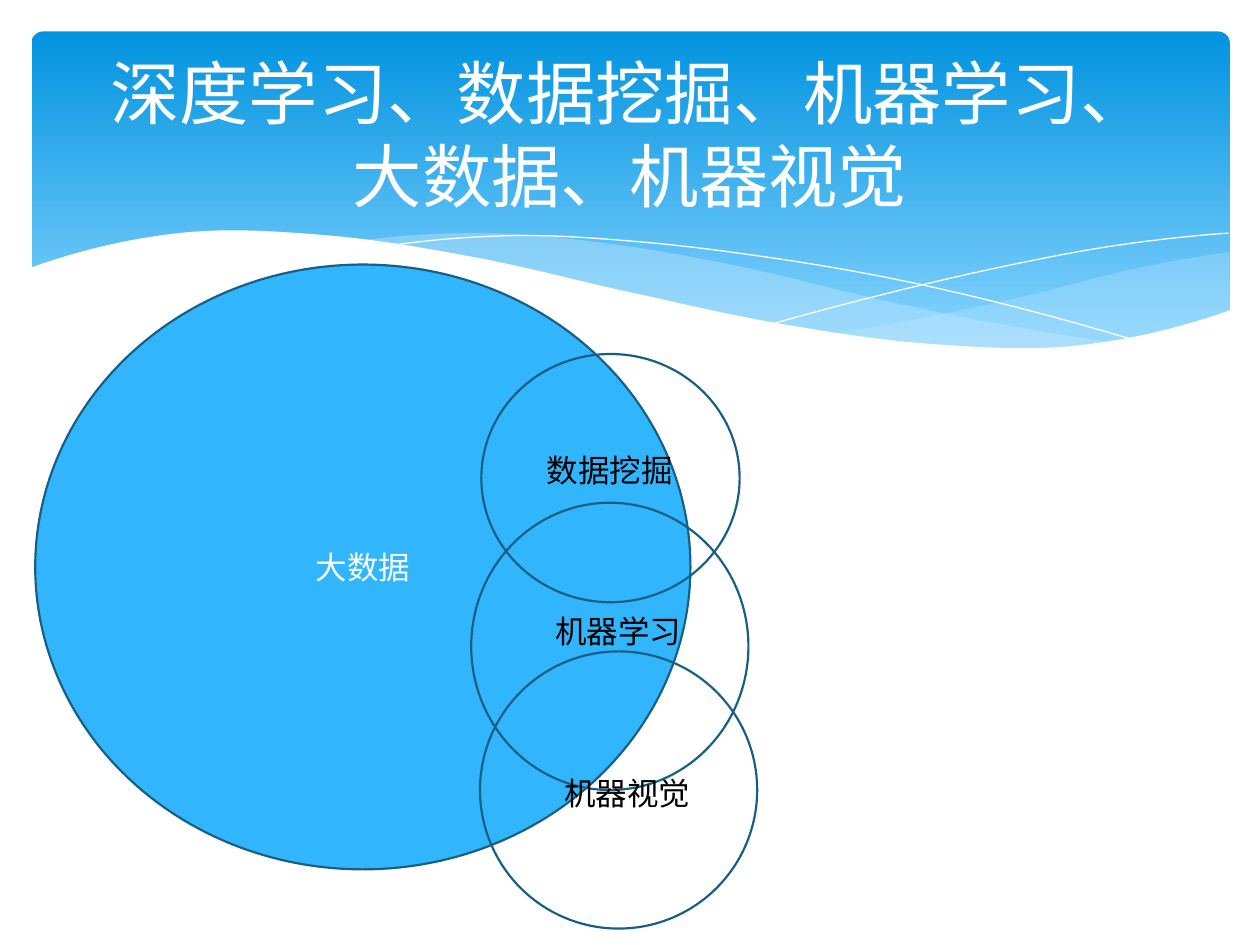
from lxml.etree import SubElement
from pptx import Presentation
from pptx.dml.color import RGBColor
from pptx.enum.shapes import MSO_SHAPE
from pptx.enum.text import MSO_ANCHOR, PP_ALIGN
from pptx.oxml.ns import qn
from pptx.util import Cm, Pt

FONT = "Calibri"
OUTLINE = "195F84"
WHITE = "FFFFFF"
BLACK = "000000"
PALE_BLUE = "C6E7FC"
CIRCLE_BLUE = "31B6FD"
HEADER_STOPS = [(0, "0293E0"), (0.9, "83D3FE")]
STEPS_PER_SPAN = 12

TITLE = "深度学习、数据挖掘、机器学习、大数据、机器视觉"
TITLE_BOX = (0.5, 0.37, 9, 1.37)
HEADER_BOX = (0.25, 0.25, 9.51, 2.7)

BANDS = [
    {
        "range": (6.61, 9.76),
        "upper": [2.65, 2.51, 2.34, 2.14, 2],
        "lower": [2.65, 2.74, 2.78, 2.7, 2.47],
        "fill": PALE_BLUE,
        "opacity": 29,
    },
    {
        "range": (2.86, 8.93),
        "upper": [1.91, 1.85, 1.94, 2.12, 2.36, 2.57, 2.73],
        "lower": [1.91, 2.07, 2.31, 2.53, 2.69, 2.78, 2.73],
        "fill": PALE_BLUE,
        "opacity": 40,
    },
]
LINES = [
    {"range": (3.09, 9.07), "heights": [1.95, 1.87, 1.92, 2.04, 2.21, 2.44, 2.72]},
    {"range": (6.13, 9.75), "heights": [2.57, 2.33, 2.12, 1.95, 1.85]},
]
WHITE_WAVE = {
    "range": (0.23, 9.77),
    "upper": [2.13, 1.85, 1.87, 2.05, 2.32, 2.57, 2.73, 2.74, 2.46],
    "lower": [3.29, 3.29, 3.29],
    "fill": WHITE,
    "opacity": 100,
}

BIG_CIRCLE = ("大数据", (0.28, 2.1, 5.2, 4.8))
SMALL_CIRCLES = [
    ("数据挖掘", 3.82, 2.05, 1.97),
    ("机器学习", 3.74, 2.2, 2.28),
    ("机器视觉", 3.81, 2.2, 2.2),
]
FIRST_CIRCLE_TOP, CIRCLE_STEP = 2.81, 1.18
FIRST_LABEL, LABEL_STEP = (4.24, 3.53), (0.07, 1.28)
LABEL_SIZE = (1.21, 0.4)


def inches(value):
    return Cm(value * 2.54)


def color(value):
    return RGBColor.from_string(value)


def extend(first, second, third):
    return 3 * first - 3 * second + third


def smooth_curve(x_range, heights):
    """Catmull-Rom curve through heights spaced evenly over x_range."""
    left, right = x_range
    spans = len(heights) - 1
    knots = [extend(*heights[:3]), *heights, extend(*heights[:-4:-1])]
    points = []
    for index in range(spans * STEPS_PER_SPAN + 1):
        span = min(index // STEPS_PER_SPAN, spans - 1)
        t = index / STEPS_PER_SPAN - span
        before, start, end, after = knots[span:span + 4]
        height = start + t / 2 * (
            end - before
            + t * (2 * before - 5 * start + 4 * end - after)
            + t * t * (3 * start - before - 3 * end + after)
        )
        x = left + (right - left) * index / (spans * STEPS_PER_SPAN)
        points.append((x, height))
    return points


def set_fill(shape, value, opacity=100):
    shape.fill.solid()
    shape.fill.fore_color.rgb = color(value)
    if opacity < 100:
        color_element = shape.fill._xPr.find(qn("a:solidFill"))[0]
        SubElement(color_element, qn("a:alpha")).set("val", str(opacity * 1000))


def set_line(shape, value, width):
    shape.line.color.rgb = color(value)
    shape.line.width = Pt(width)


def add_shape(slide, kind, box):
    shape = slide.shapes.add_shape(kind, *map(inches, box))
    shape.shadow.inherit = False
    return shape


def add_freeform(slide, points, close):
    start, *others = [(inches(x), inches(y)) for x, y in points]
    builder = slide.shapes.build_freeform(*start)
    builder.add_line_segments(others, close=close)
    shape = builder.convert_to_shape()
    shape.shadow.inherit = False
    return shape


def add_band(slide, band):
    upper = smooth_curve(band["range"], band["upper"])
    lower = smooth_curve(band["range"], band["lower"])
    shape = add_freeform(slide, upper + lower[::-1], True)
    set_fill(shape, band["fill"], band["opacity"])
    shape.line.fill.background()


def add_curved_line(slide, line):
    shape = add_freeform(slide, smooth_curve(line["range"], line["heights"]), False)
    shape.fill.background()
    set_line(shape, WHITE, 0)


def add_header(slide):
    header = add_shape(slide, MSO_SHAPE.ROUNDED_RECTANGLE, HEADER_BOX)
    header.adjustments[0] = 0.034
    header.line.fill.background()
    header.fill.gradient()
    header.fill.gradient_angle = 270
    for stop, (position, value) in zip(header.fill.gradient_stops, HEADER_STOPS):
        stop.position = position
        stop.color.rgb = color(value)
    for band in BANDS:
        add_band(slide, band)
    for line in LINES:
        add_curved_line(slide, line)
    add_band(slide, WHITE_WAVE)


def add_circle(slide, box):
    circle = add_shape(slide, MSO_SHAPE.OVAL, box)
    circle.fill.background()
    set_line(circle, OUTLINE, 1.25)
    return circle


def write(shape, text, size, value, centered=True):
    frame = shape.text_frame
    frame.word_wrap = centered
    frame.vertical_anchor = MSO_ANCHOR.MIDDLE if centered else MSO_ANCHOR.TOP
    paragraph = frame.paragraphs[0]
    paragraph.alignment = PP_ALIGN.CENTER if centered else PP_ALIGN.LEFT
    run = paragraph.add_run()
    run.text = text
    run.font.name = FONT
    run.font.size = Pt(size)
    run.font.color.rgb = color(value)


def add_title(slide):
    title = slide.shapes.add_textbox(*map(inches, TITLE_BOX))
    title.text_frame.margin_left = title.text_frame.margin_right = Cm(0.3)
    write(title, TITLE, 39.6, WHITE)


def add_big_circle(slide):
    text, box = BIG_CIRCLE
    circle = add_circle(slide, box)
    set_fill(circle, CIRCLE_BLUE)
    write(circle, text, 18, WHITE)


def add_small_circles(slide):
    for index, (_, left, width, height) in enumerate(SMALL_CIRCLES):
        add_circle(slide, (left, FIRST_CIRCLE_TOP + index * CIRCLE_STEP, width, height))
    for index, (text, *_) in enumerate(SMALL_CIRCLES):
        corner = [first + index * step for first, step in zip(FIRST_LABEL, LABEL_STEP)]
        label = slide.shapes.add_textbox(*map(inches, (*corner, *LABEL_SIZE)))
        write(label, text, 18, BLACK, centered=False)


def main():
    presentation = Presentation()
    presentation.slide_width = Cm(25.4)
    presentation.slide_height = Cm(19.05)
    slide = presentation.slides.add_slide(presentation.slide_layouts[6])
    add_header(slide)
    add_big_circle(slide)
    add_title(slide)
    add_small_circles(slide)
    presentation.save("out.pptx")


if __name__ == "__main__":
    main()
